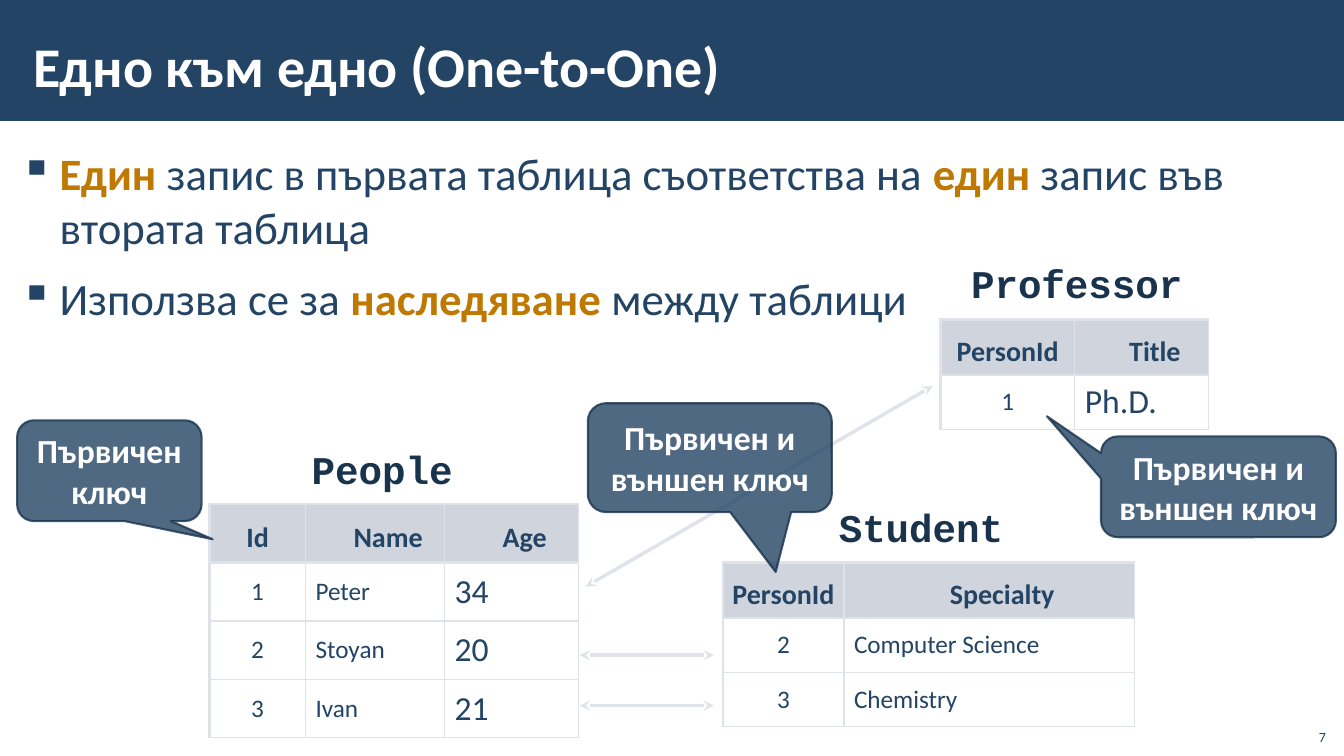
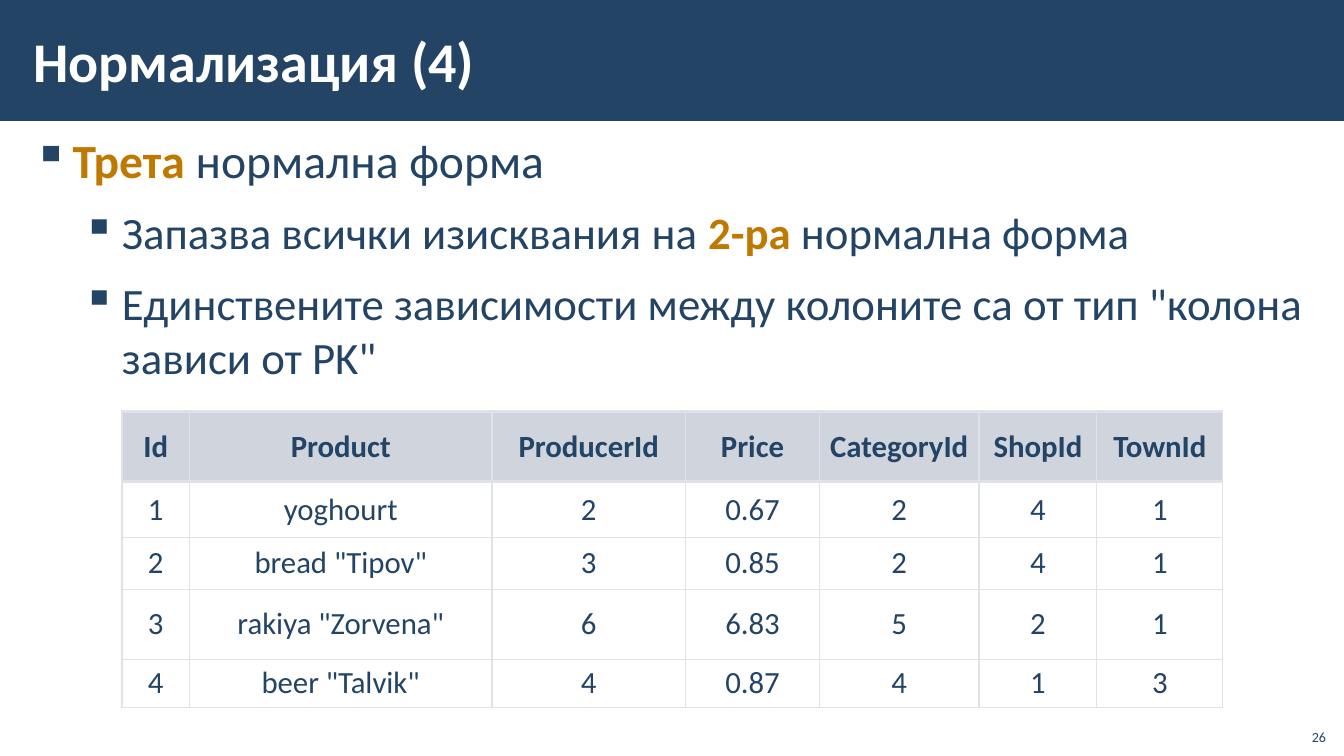
import lxml.etree
import pptx
import pptx.dml.color
import pptx.enum.shapes
import pptx.enum.text
import pptx.oxml.ns
import pptx.util

Inches = pptx.util.Inches
Pt = pptx.util.Pt
ALIGN = pptx.enum.text.PP_ALIGN
ANCHOR = pptx.enum.text.MSO_ANCHOR
SHAPE = pptx.enum.shapes.MSO_SHAPE
qn = pptx.oxml.ns.qn

NAVY, DARK, GOLD, WHITE = "234465", "1A334C", "BF7800", "FFFFFF"
HEAD, EDGE, PALE = "D0D4DC", "DFE2E9", "E0E3E9"
WIDE = (0.12, 0.04, 0.12, 0.04)
PLAIN = (0.1, 0.05, 0.1, 0.05)
TIGHT = (0, 0.09, 0, 0)


def rgb(code):
    return pptx.dml.color.RGBColor.from_string(code)


def add(node, tag, **attrs):
    return lxml.etree.SubElement(node, qn(tag), **attrs)


class Deck:
    """Holds the shared style and the current slide."""

    def __init__(self):
        self.show = pptx.Presentation()
        self.show.slide_width = Inches(13.33)
        self.show.slide_height = Inches(7.5)

    def start(self, title, top, page):
        self.slide = self.show.slides.add_slide(self.show.slide_layouts[6])
        band = self.shape(SHAPE.RECTANGLE, (0, 0, 13.33, 1.2))
        band.line.fill.background()
        self.text((0.21, top, 11.23, 0.97), title, 40, WHITE, True,
                  anchor=ANCHOR.MIDDLE, inset=WIDE)
        self.text((12.85, 7.12, 0.4, 0.32), page, 10, NAVY,
                  anchor=ANCHOR.BOTTOM, align=ALIGN.RIGHT)

    def shape(self, kind, box):
        shape = self.slide.shapes.add_shape(kind, *map(Inches, box))
        shape.shadow.inherit = False
        shape.fill.solid()
        shape.fill.fore_color.rgb = rgb(NAVY)
        return shape

    def inset(self, item, sides):
        (item.margin_left, item.margin_top,
         item.margin_right, item.margin_bottom) = map(Inches, sides)

    def run(self, par, text, size, color, bold=False, face="Calibri"):
        run = par.add_run()
        run.text = text
        run.font.size = Pt(size)
        run.font.name = face
        run.font.bold = bold
        run.font.color.rgb = rgb(color)

    def frame(self, box, anchor=ANCHOR.TOP, inset=PLAIN):
        frame = self.slide.shapes.add_textbox(*map(Inches, box)).text_frame
        frame.word_wrap = True
        frame.vertical_anchor = anchor
        self.inset(frame, inset)
        return frame

    def text(self, box, text, size, color, bold=False, face="Calibri",
             anchor=ANCHOR.TOP, inset=PLAIN, align=ALIGN.LEFT):
        par = self.frame(box, anchor, inset).paragraphs[0]
        par.alignment = align
        self.run(par, text, size, color, bold, face)
        return par

    def label(self, box, text):
        par = self.text(box, text, 28, DARK, True, "Courier New", align=ALIGN.CENTER)
        par.line_spacing = 0.9

    def bullets(self, box, items):
        frame = self.frame(box, inset=WIDE)
        for row, (level, size, parts) in enumerate(items):
            par = frame.add_paragraph() if row else frame.paragraphs[0]
            par.level = level
            props = par._p.get_or_add_pPr()
            props.set("marL", str(Inches(0.39 + 0.49 * level)))
            props.set("indent", str(Inches(-0.39)))
            add(add(props, "a:buClr"), "a:srgbClr", val=NAVY)
            add(props, "a:buChar", char="▪")
            par.space_before = Pt(6 if row else 0)
            par.space_after = Pt(6)
            for text, key in parts:
                self.run(par, text, size, GOLD if key else NAVY, key)

    def arrow(self, *ends):
        line = self.slide.shapes.add_connector(
            pptx.enum.shapes.MSO_CONNECTOR.STRAIGHT, *map(Inches, ends))
        line.line.color.rgb = rgb(PALE)
        line.line.width = Pt(2.5)
        props = line.element.spPr
        for tag in ("a:headEnd", "a:tailEnd"):
            add(props.find(qn("a:ln")), tag, type="stealth")
        add(props, "a:effectLst")

    def callout(self, box, tip, text):
        shape = self.shape(SHAPE.ROUNDED_RECTANGULAR_CALLOUT, box)
        shape.adjustments[0], shape.adjustments[1] = tip
        shape.line.color.rgb = rgb(DARK)
        shape.line.width = Pt(1.5)
        for color in list(shape.element.spPr.iter(qn("a:srgbClr"))):
            add(color, "a:alpha", val="80000")
        frame = shape.text_frame
        frame.word_wrap = True
        frame.vertical_anchor = ANCHOR.MIDDLE
        self.inset(frame, PLAIN)
        par = frame.paragraphs[0]
        par.alignment = ALIGN.CENTER
        self.run(par, text, 24, WHITE, True)

    def border(self, cell, row, col):
        widths = {"L": col == 0, "R": False, "T": row < 2, "B": row == 0}
        props = cell._tc.get_or_add_tcPr()
        for spot, (side, thick) in enumerate(widths.items()):
            line = add(props, "a:ln" + side, w=str(Pt(2.25 if thick else 1)))
            add(add(line, "a:solidFill"), "a:srgbClr", val=EDGE)
            props.insert(spot, line)

    def table(self, spot, cols, rows, data, sizes, top, left=True):
        box = (*spot, sum(cols), sum(rows))
        table = self.slide.shapes.add_table(
            len(rows), len(cols), *map(Inches, box)).table
        table.first_row = table.horz_banding = False
        for col, width in enumerate(cols):
            table.columns[col].width = Inches(width)
        for row, height in enumerate(rows):
            table.rows[row].height = Inches(height)
            for col, text in enumerate(data[row]):
                cell = table.cell(row, col)
                head = row == 0
                cell.vertical_anchor = ANCHOR.MIDDLE
                self.inset(cell, TIGHT if head and left else PLAIN)
                if head:
                    cell.fill.solid()
                    cell.fill.fore_color.rgb = rgb(HEAD)
                else:
                    cell.fill.background()
                self.border(cell, row, col)
                par = cell.text_frame.paragraphs[0]
                par.alignment = ALIGN.LEFT if left and col and not head else ALIGN.CENTER
                if left and col and head:
                    par._p.get_or_add_pPr().set("marL", str(Inches(0.26)))
                self.run(par, text, top if head else sizes[col], NAVY, head)


def main():
    deck = Deck()

    deck.start("Едно към едно (One-to-One)", 0.16, "7")
    deck.bullets((0.08, 1.41, 13.25, 6.09), [
        (0, 32, [("Един", True), (" запис в първата таблица съответства на ", False),
                 ("един", True), (" запис във втората таблица", False)]),
        (0, 32, [("Използва се за ", False), ("наследяване", True),
                 (" между таблици", False)]),
    ])
    for level in (7, 6.5):
        deck.arrow(5.75, level, 7.08, level)
    deck.arrow(5.81, 5.82, 9.25, 3.83)

    deck.label((2.75, 4.42, 2.08, 0.53), "People")
    deck.table((2.08, 5), (0.95, 1.38, 1.33), [0.58] * 4, [
        ("Id", "Name", "Age"),
        ("1", "Peter", "34"),
        ("2", "Stoyan", "20"),
        ("3", "Ivan", "21"),
    ], (18, 18, 24), 20)
    deck.callout((0.17, 4.17, 1.83, 1), (0.56, 0.68), "Първичен ключ")

    deck.label((8.17, 5, 1.93, 0.53), "Student")
    deck.table((7.17, 5.58), (1.2, 2.88), (0.55, 0.54, 0.54), [
        ("PersonId", "Specialty"),
        ("2", "Computer Science"),
        ("3", "Chemistry"),
    ], (18, 18), 20)

    deck.label((9.5, 2.58, 2.36, 0.53), "Professor")
    deck.table((9.33, 3.17), (1.33, 1.33), (0.55, 0.54), [
        ("PersonId", "Title"),
        ("1", "Ph.D."),
    ], (18, 24), 20)
    for box, tip in (((5.83, 4, 2.42, 1.08), (0.27, 1.05)),
                     ((10.92, 4.33, 2.33, 1), (-0.73, -0.7))):
        deck.callout(box, tip, "Първичен и външен ключ")

    deck.start("Нормализация (4)", 0.11, "26")
    deck.bullets((0.21, 1.26, 12.91, 6.09), [
        (0, 34, [("Трета ", True), ("нормална форма", False)]),
        (1, 32, [("Запазва всички изисквания на ", False), ("2-ра", True),
                 (" нормална форма", False)]),
        (1, 32, [("Единствените зависимости между колоните са от тип "
                  "\"колона зависи от PK\"", False)]),
    ])
    deck.table((1.21, 4.08), (0.67, 3, 1.92, 1.33, 1.58, 1.17, 1.25),
               (0.7, 0.55, 0.52, 0.69, 0.48), [
        ("Id", "Product", "ProducerId", "Price", "CategoryId", "ShopId", "TownId"),
        ("1", "yoghourt", "2", "0.67", "2", "4", "1"),
        ("2", "bread \"Tipov\"", "3", "0.85", "2", "4", "1"),
        ("3", "rakiya \"Zorvena\"", "6", "6.83", "5", "2", "1"),
        ("4", "beer \"Talvik\"", "4", "0.87", "4", "1", "3"),
    ], [22] * 7, 22, left=False)

    deck.show.save("out.pptx")


if __name__ == "__main__":
    main()
